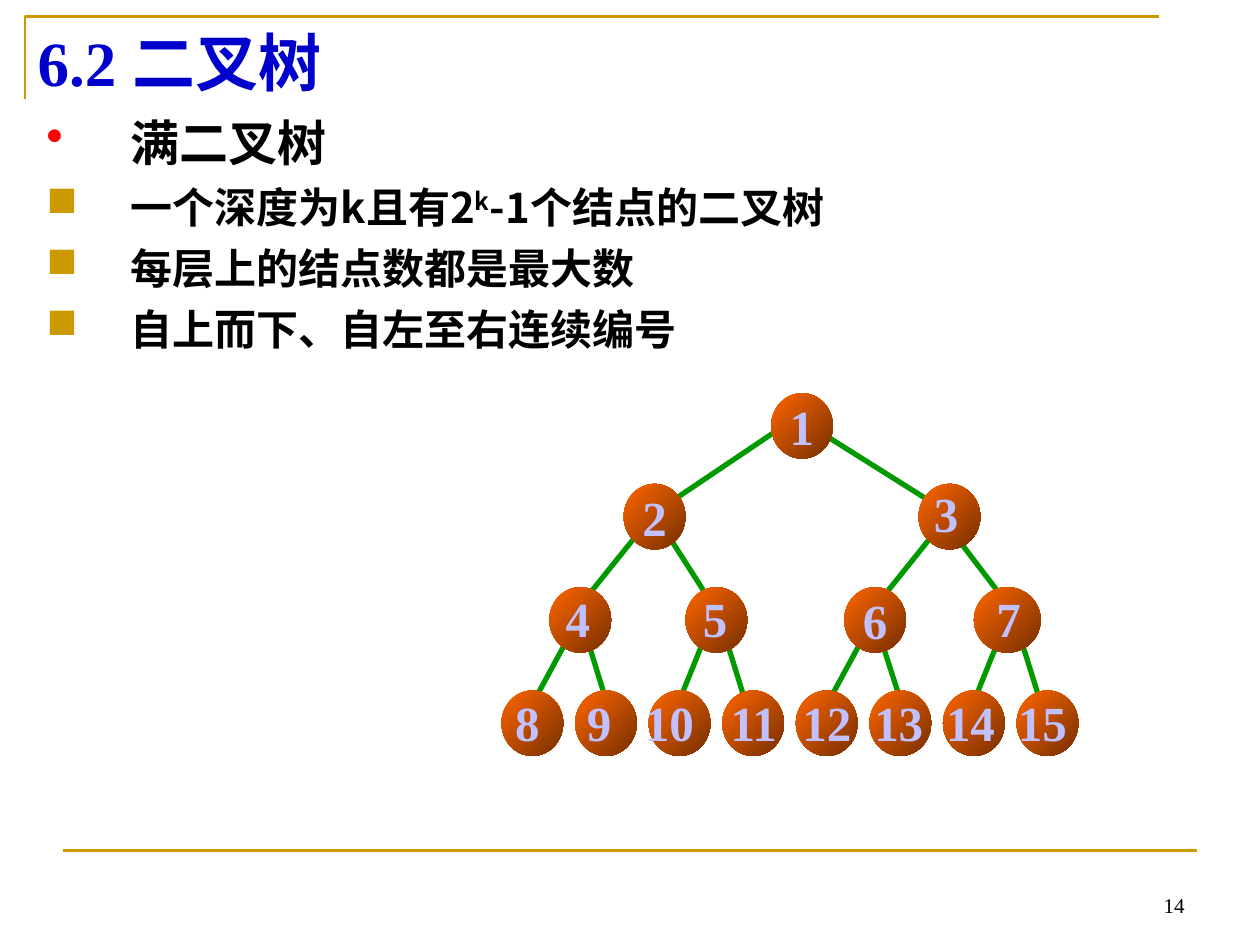
from lxml import etree
from pptx import Presentation
from pptx.dml.color import RGBColor
from pptx.enum.shapes import MSO_CONNECTOR, MSO_SHAPE
from pptx.enum.text import MSO_ANCHOR, PP_ALIGN
from pptx.oxml.ns import qn
from pptx.util import Inches, Pt

STRAIGHT = MSO_CONNECTOR.STRAIGHT
OVAL = MSO_SHAPE.OVAL
TOP, MIDDLE, BOTTOM = MSO_ANCHOR.TOP, MSO_ANCHOR.MIDDLE, MSO_ANCHOR.BOTTOM
LEFT, CENTER, RIGHT = PP_ALIGN.LEFT, PP_ALIGN.CENTER, PP_ALIGN.RIGHT

COLORS = {
    "gold": "CC9900", "title": "0000CC", "text": "000000", "bullet": "FF0000",
    "edge": "009900", "node_light": "FF6600", "node_dark": "762F00", "label": "C1C1FF",
}
SERIF = "Times New Roman"
SANS = "Noto Sans CJK SC"

BODY = [
    ("•", "bullet", 28, 0, [("满二叉树", 0)]),
    ("■", "gold", 24, 6, [("一个深度为k且有2", 0), ("k", 30000), ("-1个结点的二叉树", 0)]),
    ("■", "gold", 24, 6, [("每层上的结点数都是最大数", 0)]),
    ("■", "gold", 24, 6, [("自上而下、自左至右连续编号", 0)]),
]
LEVEL_TOPS = [0, 0.72, 1.54, 2.36]
LABEL_TOPS = [0, 0.67, 1.5, 2.33]
INNER_LEFTS = [2.14, 0.97, 3.31, 0.38, 1.46, 2.72, 3.75]
LEAF_STEP = 0.584
NODE_LEFTS = INNER_LEFTS + [i * LEAF_STEP for i in range(8)]
LABEL_LEFTS = {
    3: 3.33, 4: 0.41, 5: 1.5, 7: 3.83, 8: 0.01, 9: 0.58, 10: 1.04,
    11: 1.72, 12: 2.29, 13: 2.86, 14: 3.43, 15: 4.0,
}
EDGES = [
    (2.53, 0.31, 3.5, 0.92), (2.27, 0.24, 1.26, 0.92),
    (3.6, 1.13, 3.99, 1.64), (3.5, 1.03, 3.01, 1.64),
    (1.26, 1.03, 1.65, 1.64), (1.07, 1.13, 0.58, 1.74),
    (4.09, 1.85, 4.28, 2.46), (3.99, 1.85, 3.7, 2.57),
    (3.01, 1.95, 3.21, 2.57), (2.92, 1.85, 2.53, 2.57),
    (1.75, 1.85, 1.94, 2.46), (1.65, 1.85, 1.36, 2.57),
    (0.68, 1.95, 0.87, 2.57), (0.58, 1.85, 0.19, 2.57),
]


def rgb(name):
    return RGBColor.from_string(COLORS[name])


def add_run(p, text, size, color, font, bold=True):
    r = p.add_run()
    r.text = text
    r.font.size = Pt(size)
    r.font.bold = bold
    r.font.name = font
    r.font.color.rgb = rgb(color)
    etree.SubElement(r.font._element, qn("a:ea")).set("typeface", SANS)
    return r


def add_text_box(slide, x, y, w, h, anchor=TOP, wrap=True):
    tf = slide.shapes.add_textbox(Inches(x), Inches(y), Inches(w), Inches(h)).text_frame
    tf.word_wrap = wrap
    tf.vertical_anchor = anchor
    return tf


def add_line(slide, x1, y1, x2, y2, color, width):
    line = slide.shapes.add_connector(STRAIGHT, Inches(x1), Inches(y1), Inches(x2), Inches(y2))
    line.line.color.rgb = rgb(color)
    line.line.width = Pt(width)
    etree.SubElement(line._element.spPr, qn("a:effectLst"))


def add_frame(slide, x, y, w, h):
    builder = slide.shapes.build_freeform(Inches(x), Inches(y + h))
    corner = [(Inches(x), Inches(y)), (Inches(x + w), Inches(y))]
    builder.add_line_segments(corner, close=False)
    sp = builder.convert_to_shape()
    sp.shadow.inherit = False
    sp.fill.background()
    sp.line.color.rgb = rgb("gold")
    sp.line.width = Pt(1.5)


def add_title(slide, x, y, w, h):
    p = add_text_box(slide, x, y, w, h, MIDDLE).paragraphs[0]
    add_run(p, "6.2 二叉树", 36, "title", SERIF)


def add_bullet(p, char, color):
    pPr = p._p.get_or_add_pPr()
    pPr.set("marL", str(Inches(0.67)))
    pPr.set("indent", str(-Inches(0.67)))
    clr = etree.SubElement(pPr, qn("a:buClr"))
    etree.SubElement(clr, qn("a:srgbClr")).set("val", COLORS[color])
    etree.SubElement(pPr, qn("a:buChar")).set("char", char)


def add_body(slide, x, y, w, h):
    tf = add_text_box(slide, x, y, w, h)
    for i, (char, color, size, before, runs) in enumerate(BODY):
        p = tf.add_paragraph() if i else tf.paragraphs[0]
        add_bullet(p, char, color)
        p.space_before = Pt(before)
        for text, baseline in runs:
            r = add_run(p, text, size, "text", SANS)
            if baseline:
                r.font._element.set("baseline", str(baseline))


def add_node(slide, x, y, w, h):
    sp = slide.shapes.add_shape(OVAL, Inches(x), Inches(y), Inches(w), Inches(h))
    sp.shadow.inherit = False
    sp.line.fill.background()
    sp.fill.gradient()
    sp.fill.gradient_angle = -45
    for stop, color in zip(sp.fill.gradient_stops, ("node_light", "node_dark")):
        stop.color.rgb = rgb(color)
    sp.text_frame.word_wrap = False
    sp.text_frame.vertical_anchor = MIDDLE
    return sp


def add_tree(slide, x, y):
    for x1, y1, x2, y2 in EDGES:
        add_line(slide, x + x1, y + y1, x + x2, y + y2, "edge", 3)
    for number, left in enumerate(NODE_LEFTS, 1):
        level = number.bit_length() - 1
        width = 0.53 if number == 7 else 0.49
        sp = add_node(slide, x + left, y + LEVEL_TOPS[level], width, 0.52)
        align = CENTER
        tf = sp.text_frame
        if number in LABEL_LEFTS:
            align = CENTER if number == 3 else LEFT
            label_width = 0.4 if number < 10 else 0.59
            tf = add_text_box(slide, x + LABEL_LEFTS[number], y + LABEL_TOPS[level],
                              label_width, 0.57, wrap=number < 8)
        p = tf.paragraphs[0]
        p.alignment = align
        add_run(p, str(number), 28, "label", SERIF)


def add_page_number(slide, x, y, w, h):
    p = add_text_box(slide, x, y, w, h, BOTTOM).paragraphs[0]
    p.alignment = RIGHT
    add_run(p, "14", 12, "text", SERIF, bold=False)


def main():
    prs = Presentation()
    prs.slide_width, prs.slide_height = Inches(10), Inches(7.5)
    slide = prs.slides.add_slide(prs.slide_layouts[6])
    add_frame(slide, 0.2, 0.13, 9, 0.66)
    add_line(slide, 0.5, 6.75, 9.5, 6.75, "gold", 1.5)
    add_page_number(slide, 7.17, 6.83, 2.33, 0.5)
    add_body(slide, 0.27, 0.84, 9.29, 5.67)
    add_title(slide, 0.2, 0.13, 9, 0.71)
    add_tree(slide, 3.98, 3.12)
    prs.save("out.pptx")


if __name__ == "__main__":
    main()
